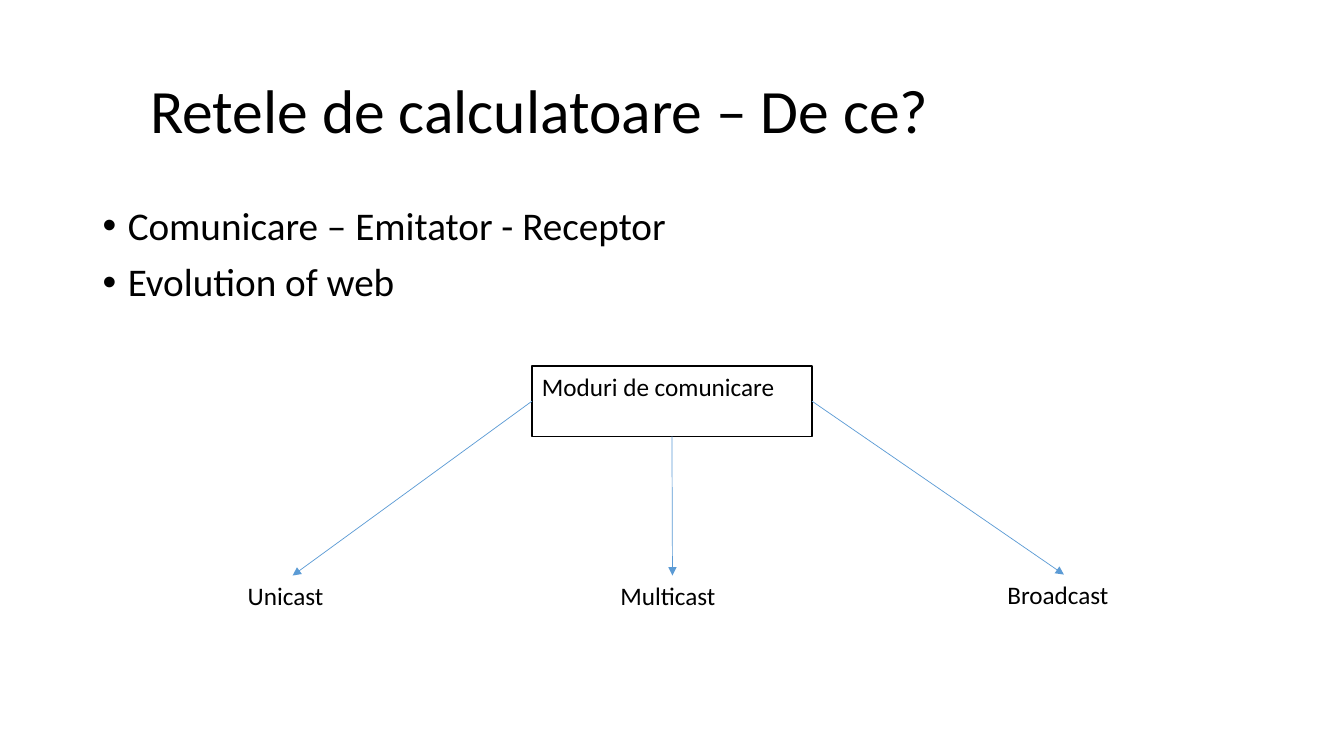
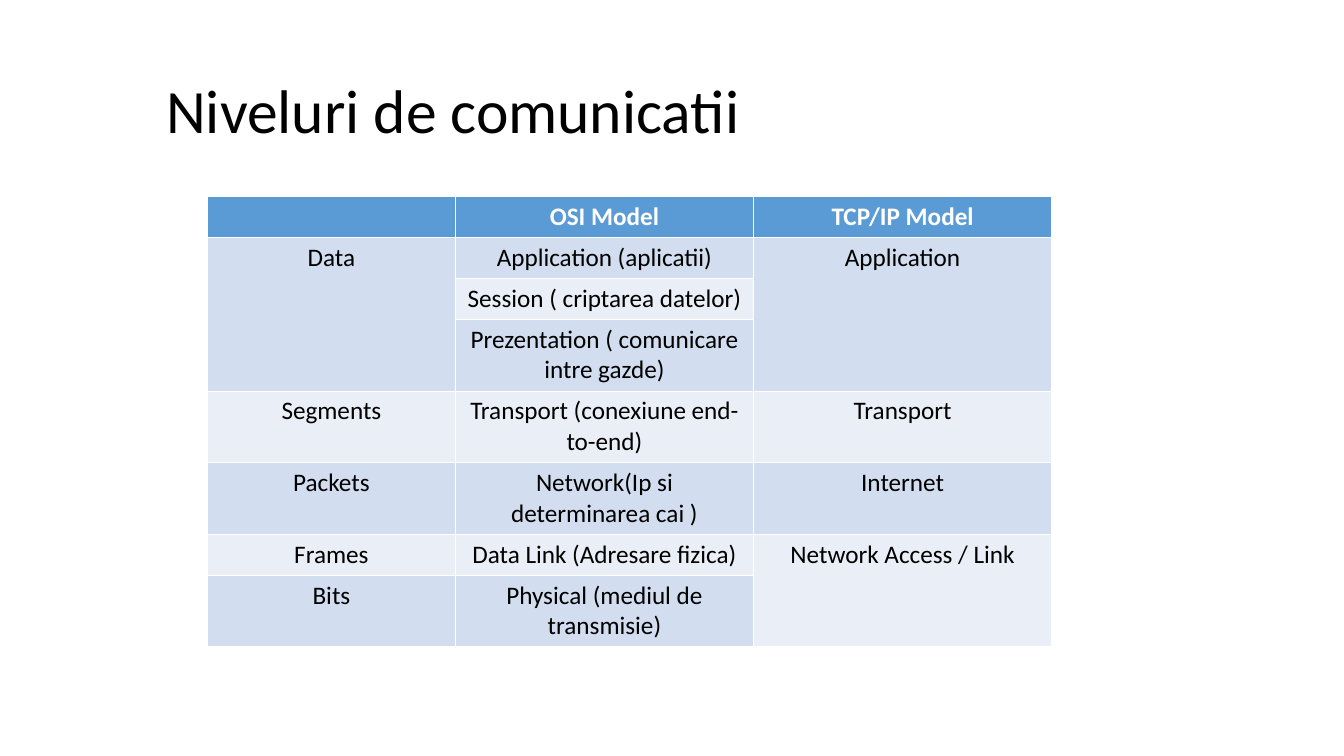
from dataclasses import dataclass

from lxml.etree import SubElement
from pptx import Presentation
from pptx.dml.color import RGBColor
from pptx.enum.shapes import MSO_CONNECTOR, MSO_SHAPE
from pptx.enum.text import MSO_ANCHOR, MSO_AUTO_SIZE, PP_ALIGN
from pptx.oxml.ns import qn
from pptx.presentation import Presentation as Deck
from pptx.shapes.autoshape import Shape
from pptx.slide import Slide
from pptx.table import Table, _Cell
from pptx.text.text import TextFrame, _Paragraph
from pptx.util import Inches, Pt


@dataclass(frozen=True)
class Theme:
    font: str = "Calibri"
    ink: str = "000000"
    paper: str = "FFFFFF"
    accent: str = "5B9BD5"
    bands: tuple[str, str] = ("D2DEEF", "EAEFF7")
    title: float = 44
    body: float = 28
    small: float = 18
    thin: float = 0.45
    thick: float = 1.47


@dataclass(frozen=True)
class Box:
    left: float
    top: float
    width: float
    height: float

    def place(self) -> tuple[Inches, Inches, Inches, Inches]:
        return (Inches(self.left), Inches(self.top),
                Inches(self.width), Inches(self.height))


@dataclass(frozen=True)
class Mode:
    """A way to communicate and the site of the root box its arrow leaves."""
    name: str
    box: Box
    site: int


@dataclass(frozen=True)
class Span:
    col: int
    first: int
    last: int


THEME = Theme()

POINTS = ["Comunicare – Emitator - Receptor", "Evolution of web"]
ROOT = Box(5.28, 3.63, 2.78, 0.7)
MODES = [
    Mode("Unicast", Box(2.36, 5.71, 1.09, 0.4), 1),
    Mode("Multicast", Box(6.06, 5.71, 1.23, 0.4), 2),
    Mode("Broadcast", Box(9.9, 5.7, 1.32, 0.4), 3),
]

WIDTHS = [2.46, 2.96, 2.96]
HEIGHTS = [0.4, 0.4, 0.4, 0.71, 0.71, 0.71, 0.4, 0.71]
LAYERS = [
    ("", "OSI Model", "TCP/IP Model"),
    ("Data", "Application (aplicatii)", "Application"),
    ("", "Session ( criptarea datelor)", ""),
    ("", "Prezentation ( comunicare intre gazde)", ""),
    ("Segments", "Transport (conexiune end-to-end)", "Transport"),
    ("Packets", "Network(Ip si determinarea cai )", "Internet"),
    ("Frames", "Data Link (Adresare fizica)", "Network Access / Link"),
    ("Bits", "Physical (mediul de transmisie)", ""),
]
SPANS = [Span(0, 1, 3), Span(2, 1, 3), Span(2, 6, 7)]


def color(code: str) -> RGBColor:
    return RGBColor.from_string(code)


def style(para: _Paragraph, size: float, ink: str = THEME.ink,
          bold: bool = False, align: PP_ALIGN = PP_ALIGN.LEFT) -> None:
    para.alignment = align
    for run in para.runs:
        run.font.name = THEME.font
        run.font.size = Pt(size)
        run.font.bold = bold
        run.font.color.rgb = color(ink)


def write(frame: TextFrame, text: str, size: float) -> None:
    frame.text = text
    frame.word_wrap = True
    frame.auto_size = MSO_AUTO_SIZE.NONE
    for para in frame.paragraphs:
        style(para, size)


def add_slide(deck: Deck, title: str, box: Box) -> Slide:
    slide = deck.slides.add_slide(deck.slide_layouts[5])
    head = slide.shapes.title
    head.left, head.top, head.width, head.height = box.place()
    write(head.text_frame, title, THEME.title)
    head.text_frame.vertical_anchor = MSO_ANCHOR.MIDDLE
    head.text_frame.paragraphs[0].line_spacing = 0.9
    return slide


def add_text(slide: Slide, text: str, box: Box, size: float) -> Shape:
    shape = slide.shapes.add_textbox(*box.place())
    write(shape.text_frame, text, size)
    return shape


def add_points(slide: Slide, points: list[str], box: Box) -> None:
    shape = add_text(slide, "\n".join(points), box, THEME.body)
    for para in shape.text_frame.paragraphs:
        para.line_spacing = 0.9
        para.space_before = Pt(10)
        props = para._p.get_or_add_pPr()
        props.set("marL", str(Inches(0.25)))
        props.set("indent", str(Inches(-0.25)))
        SubElement(props, qn("a:buFont"), typeface="Arial")
        SubElement(props, qn("a:buChar"), char="•")


def add_root(slide: Slide, text: str, box: Box) -> Shape:
    shape = slide.shapes.add_shape(MSO_SHAPE.RECTANGLE, *box.place())
    shape.shadow.inherit = False
    shape.fill.solid()
    shape.fill.fore_color.rgb = color(THEME.paper)
    shape.line.color.rgb = color(THEME.ink)
    shape.line.width = Pt(1)
    write(shape.text_frame, text, THEME.small)
    shape.text_frame.vertical_anchor = MSO_ANCHOR.TOP
    return shape


def add_arrow(slide: Slide, start: Shape, site: int, end: Shape) -> None:
    """Join a site of one shape to the top of another."""
    arrow = slide.shapes.add_connector(MSO_CONNECTOR.STRAIGHT, 0, 0, 0, 0)
    arrow.begin_connect(start, site)
    arrow.end_connect(end, 0)
    arrow.line.color.rgb = color(THEME.accent)
    arrow.line.width = Pt(0.5)
    SubElement(arrow.line._get_or_add_ln(), qn("a:tailEnd"), type="triangle")
    SubElement(arrow._element.spPr, qn("a:effectLst"))


def add_edge(cell: _Cell, side: str, width: float) -> None:
    props = cell._tc.get_or_add_tcPr()
    line = SubElement(props, qn(f"a:ln{side}"), w=str(Pt(width)))
    fill = SubElement(line, qn("a:solidFill"))
    SubElement(fill, qn("a:srgbClr"), val=THEME.paper)


def fill_cell(cell: _Cell, text: str, row: int) -> None:
    head = row == 0
    cell.text = text
    style(cell.text_frame.paragraphs[0], THEME.small,
          THEME.paper if head else THEME.ink, head, PP_ALIGN.CENTER)
    for side in "LRTB":
        heavy = (row, side) in ((0, "B"), (1, "T"))
        add_edge(cell, side, THEME.thick if heavy else THEME.thin)
    cell.fill.solid()
    shade = THEME.accent if head else THEME.bands[(row - 1) % 2]
    cell.fill.fore_color.rgb = color(shade)


def add_grid(slide: Slide, left: float, top: float) -> Table:
    box = Box(left, top, sum(WIDTHS), sum(HEIGHTS))
    grid = slide.shapes.add_table(
        len(HEIGHTS), len(WIDTHS), *box.place()).table
    for col, width in zip(grid.columns, WIDTHS):
        col.width = Inches(width)
    for row, height in zip(grid.rows, HEIGHTS):
        row.height = Inches(height)
    for row, texts in enumerate(LAYERS):
        for col, text in enumerate(texts):
            fill_cell(grid.cell(row, col), text, row)
    for span in SPANS:
        grid.cell(span.first, span.col).merge(grid.cell(span.last, span.col))
    return grid


def draw_modes(deck: Deck) -> None:
    slide = add_slide(deck, "Retele de calculatoare – De ce?",
                      Box(1.39, 0.4, 11.03, 1.45))
    add_points(slide, POINTS, Box(0.92, 2, 11.5, 1.49))
    root = add_root(slide, "Moduri de comunicare", ROOT)
    for mode in MODES:
        label = add_text(slide, mode.name, mode.box, THEME.small)
        add_arrow(slide, root, mode.site, label)


def draw_layers(deck: Deck) -> None:
    slide = add_slide(deck, "Niveluri de comunicatii",
                      Box(1.55, 0.4, 10.86, 1.45))
    add_grid(slide, 2.06, 1.95)


def main() -> None:
    deck = Presentation()
    deck.slide_width, deck.slide_height = Inches(13.34), Inches(7.5)
    draw_modes(deck)
    draw_layers(deck)
    deck.save("out.pptx")


if __name__ == "__main__":
    main()
